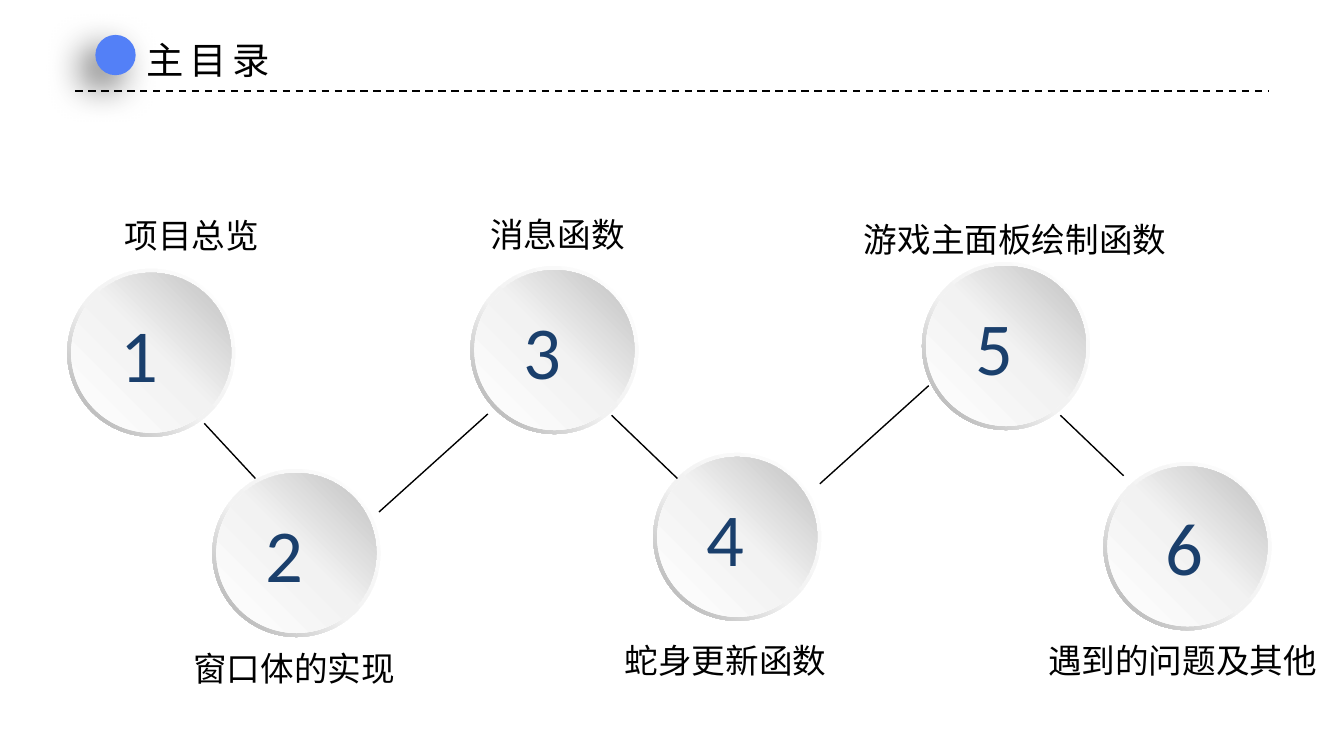
import copy
from typing import NamedTuple

import pptx
import pptx.dml.color
import pptx.enum.dml
import pptx.enum.shapes
import pptx.enum.text
import pptx.oxml
import pptx.oxml.ns
import pptx.shapes.autoshape
import pptx.shapes.connector
import pptx.shapes.shapetree
import pptx.slide
import pptx.text.text
import pptx.util
from pptx.dml.color import RGBColor
from pptx.util import Inches

BLACK = RGBColor(0x00, 0x00, 0x00)
WHITE = RGBColor(0xFF, 0xFF, 0xFF)
PALE = RGBColor(0xF2, 0xF2, 0xF2)
RING_GRAY = RGBColor(0xA6, 0xA6, 0xA6)
DISC_GRAY = RGBColor(0xBF, 0xBF, 0xBF)
NAVY = RGBColor(0x1A, 0x3F, 0x6C)
BLUE = RGBColor(0x53, 0x80, 0xF7)
CJK_FONT = "Noto Sans CJK SC"

SLIDE_WIDTH = Inches(10)
SLIDE_HEIGHT = SLIDE_WIDTH * 9 // 16
RING_SIZE = 1.25
DISC_SIZE = 1.19
DISC_INSET = 0.03
LABEL_HEIGHT = 0.4
SHADOW = (
    '<a:outerShdw xmlns:a="http://schemas.openxmlformats.org/drawingml/2006/main" '
    'blurRad="254000" dist="127000" dir="8100000" algn="tr" rotWithShape="0">'
    '<a:srgbClr val="000000"><a:alpha val="60000"/></a:srgbClr></a:outerShdw>'
)


class Topic(NamedTuple):
    label: str
    left: float
    top: float
    label_left: float
    label_top: float
    number_shift: float = 0.3
    number_width: float = 0.64


class Link(NamedTuple):
    x1: float
    y1: float
    x2: float
    y2: float


class Gradient(NamedTuple):
    middle: float
    end: RGBColor
    angle: float


RING_GRADIENT = Gradient(0.55, RING_GRAY, 225)
DISC_GRADIENT = Gradient(0.51, DISC_GRAY, 45)

TOPICS = [
    Topic("项目总览", 0.5, 2, 0.83, 1.55),
    Topic("窗口体的实现", 1.58, 3.49, 1.34, 4.77),
    Topic("消息函数", 3.5, 1.98, 3.55, 1.54),
    Topic("蛇身更新函数", 4.86, 3.37, 4.55, 4.71),
    Topic("游戏主面板绘制函数", 6.86, 1.95, 6.33, 1.58),
    Topic("遇到的问题及其他", 8.21, 3.44, 7.7, 4.71, 0.36, 0.49),
]

LINKS = [
    Link(1.52, 3.15, 1.9, 3.56),
    Link(2.82, 3.81, 3.63, 3.08),
    Link(4.55, 3.09, 5.04, 3.56),
    Link(6.1, 3.6, 6.91, 2.87),
    Link(7.89, 3.09, 8.36, 3.54),
]


def style_paragraph(
    para: pptx.text.text._Paragraph, size: float, name: str, color: RGBColor
) -> None:
    para.alignment = pptx.enum.text.PP_ALIGN.LEFT
    para.font.size = pptx.util.Pt(size)
    para.font.name = name
    para.font.color.rgb = color
    properties = para.font._element
    east_asian = properties.makeelement(
        pptx.oxml.ns.qn("a:ea"), {"typeface": CJK_FONT}
    )
    properties.append(east_asian)


def fit_frame(frame: pptx.text.text.TextFrame, wrap: bool) -> None:
    frame.word_wrap = wrap
    frame.auto_size = pptx.enum.text.MSO_AUTO_SIZE.SHAPE_TO_FIT_TEXT
    frame.vertical_anchor = pptx.enum.text.MSO_ANCHOR.TOP


def add_round(
    shapes: pptx.shapes.shapetree._BaseGroupShapes,
    kind: pptx.enum.shapes.MSO_SHAPE,
    left: float,
    top: float,
    size: float,
) -> pptx.shapes.autoshape.Shape:
    shape = shapes.add_shape(
        kind, Inches(left), Inches(top), Inches(size), Inches(size)
    )
    shape.shadow.inherit = False
    shape.line.fill.background()
    return shape


def fill_gradient(shape: pptx.shapes.autoshape.Shape, gradient: Gradient) -> None:
    shape.fill.gradient()
    shape.fill.gradient_angle = gradient.angle
    stop_list = shape.element.spPr.find(".//" + pptx.oxml.ns.qn("a:gsLst"))
    stop_list.insert(1, copy.deepcopy(stop_list[0]))
    settings = [(0, WHITE), (gradient.middle, PALE), (1, gradient.end)]
    for stop, (position, color) in zip(shape.fill.gradient_stops, settings):
        stop.position = position
        stop.color.rgb = color


def add_line(
    page: pptx.slide.Slide, link: Link, width: float
) -> pptx.shapes.connector.Connector:
    line = page.shapes.add_connector(
        pptx.enum.shapes.MSO_CONNECTOR.STRAIGHT, *(Inches(value) for value in link)
    )
    line.line.color.rgb = BLACK
    line.line.width = pptx.util.Pt(width)
    properties = line.element.spPr
    properties.append(properties.makeelement(pptx.oxml.ns.qn("a:effectLst"), {}))
    return line


def add_topic(page: pptx.slide.Slide, number: int, topic: Topic) -> None:
    group = page.shapes.add_group_shape()
    kinds = pptx.enum.shapes.MSO_SHAPE
    ring = add_round(group.shapes, kinds.DONUT, topic.left, topic.top, RING_SIZE)
    ring.adjustments[0] = 0.049
    fill_gradient(ring, RING_GRADIENT)
    disc = add_round(
        group.shapes,
        kinds.OVAL,
        topic.left + DISC_INSET,
        topic.top + DISC_INSET,
        DISC_SIZE,
    )
    fill_gradient(disc, DISC_GRADIENT)
    number_box = group.shapes.add_textbox(
        Inches(topic.left + topic.number_shift),
        Inches(topic.top + 0.24),
        Inches(topic.number_width),
        Inches(0.77),
    )
    number_box.text_frame.text = str(number)
    fit_frame(number_box.text_frame, True)
    style_paragraph(number_box.text_frame.paragraphs[0], 40, "Calibri", NAVY)

    label_box = page.shapes.add_textbox(
        Inches(topic.label_left),
        Inches(topic.label_top),
        Inches(0.25 * len(topic.label) + 0.22),
        Inches(LABEL_HEIGHT),
    )
    label_box.text_frame.text = topic.label
    fit_frame(label_box.text_frame, False)
    style_paragraph(label_box.text_frame.paragraphs[0], 18, "Arial", BLACK)


def add_heading(page: pptx.slide.Slide) -> None:
    rule = add_line(page, Link(0.56, 0.68, 9.44, 0.68), 1)
    rule.line.dash_style = pptx.enum.dml.MSO_LINE.DASH
    dot = add_round(page.shapes, pptx.enum.shapes.MSO_SHAPE.OVAL, 0.71, 0.26, 0.3)
    dot.fill.solid()
    dot.fill.fore_color.rgb = BLUE
    effects = dot.element.spPr.find(pptx.oxml.ns.qn("a:effectLst"))
    effects.append(pptx.oxml.parse_xml(SHADOW))

    title = page.shapes.title
    title.left, title.top = Inches(0.99), Inches(0.23)
    title.width, title.height = Inches(1.17), Inches(0.44)
    title.text_frame.text = "主目录"
    fit_frame(title.text_frame, False)
    para = title.text_frame.paragraphs[0]
    style_paragraph(para, 20, CJK_FONT, BLACK)
    para.font._element.set("spc", "300")


def main() -> None:
    deck = pptx.Presentation()
    deck.slide_width, deck.slide_height = SLIDE_WIDTH, SLIDE_HEIGHT
    page = deck.slides.add_slide(deck.slide_layouts[5])
    add_heading(page)
    for number, topic in enumerate(TOPICS, start=1):
        add_topic(page, number, topic)
    for link in LINKS:
        add_line(page, link, 0.75)
    deck.save("out.pptx")


if __name__ == "__main__":
    main()
